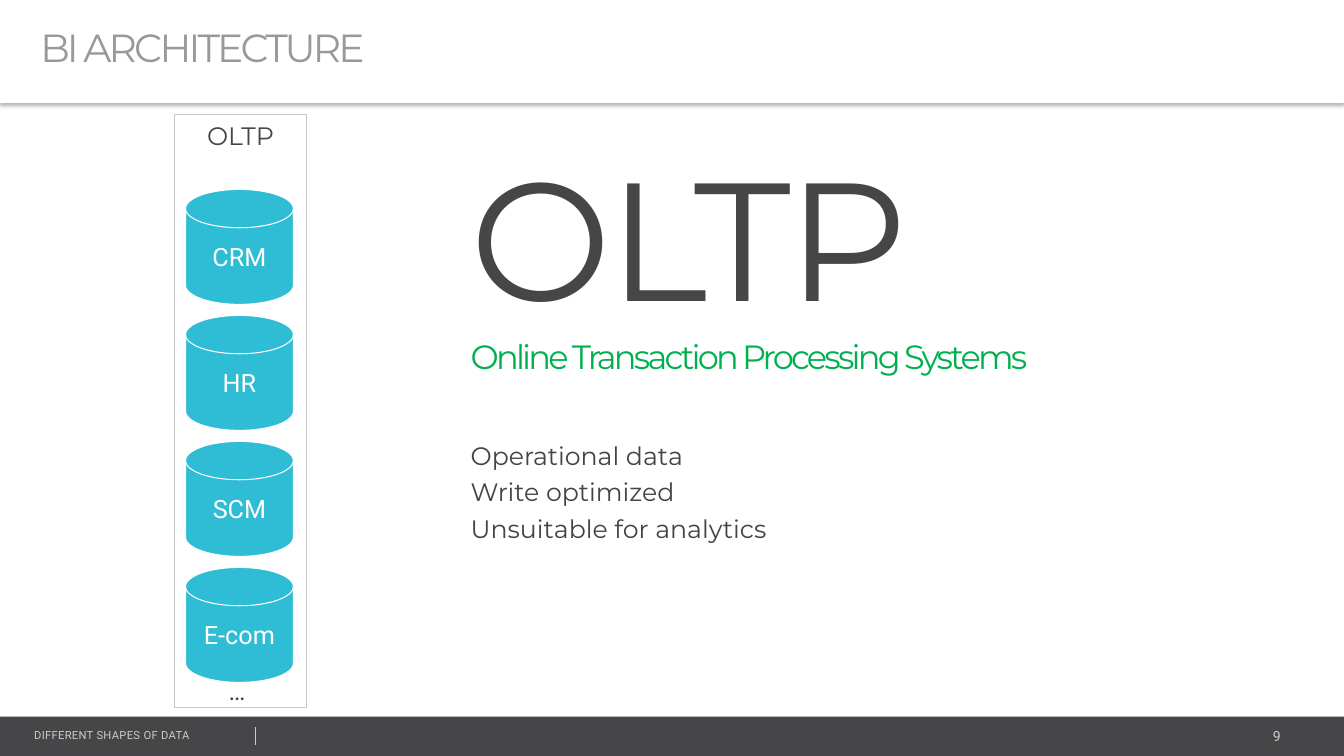
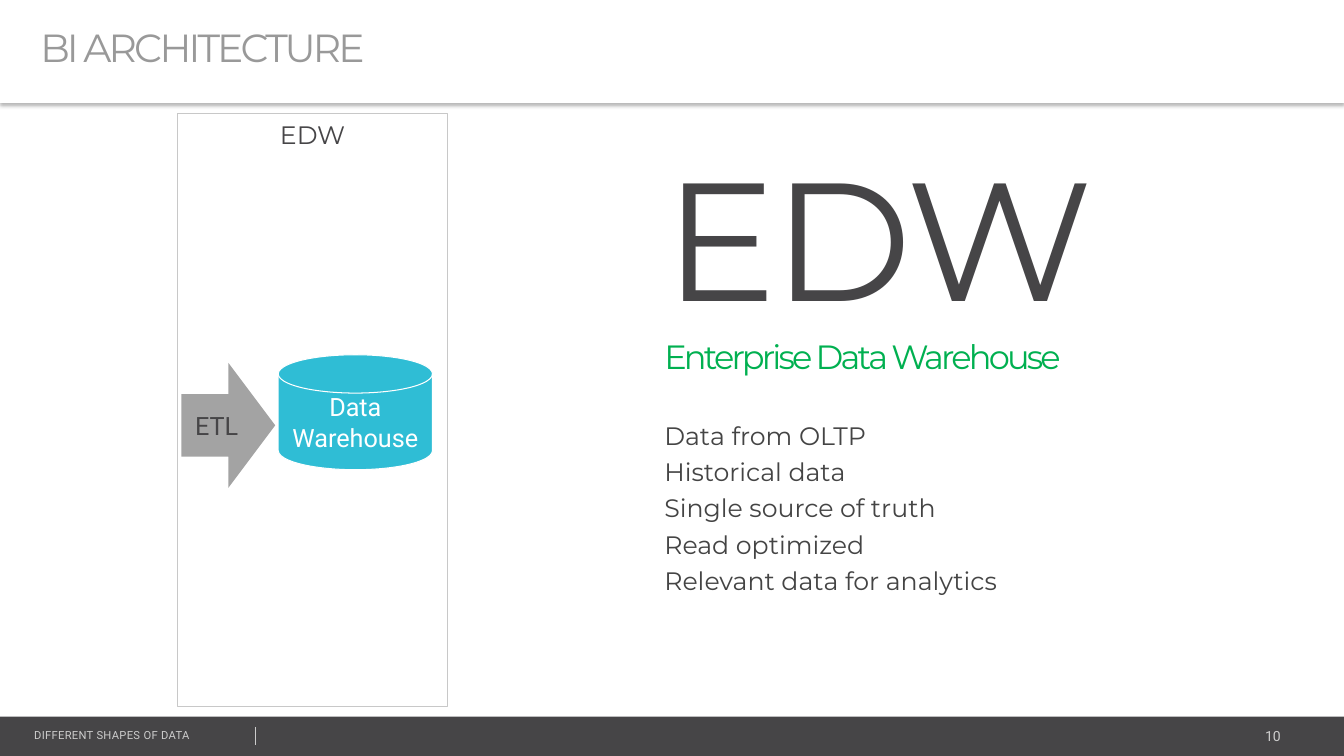
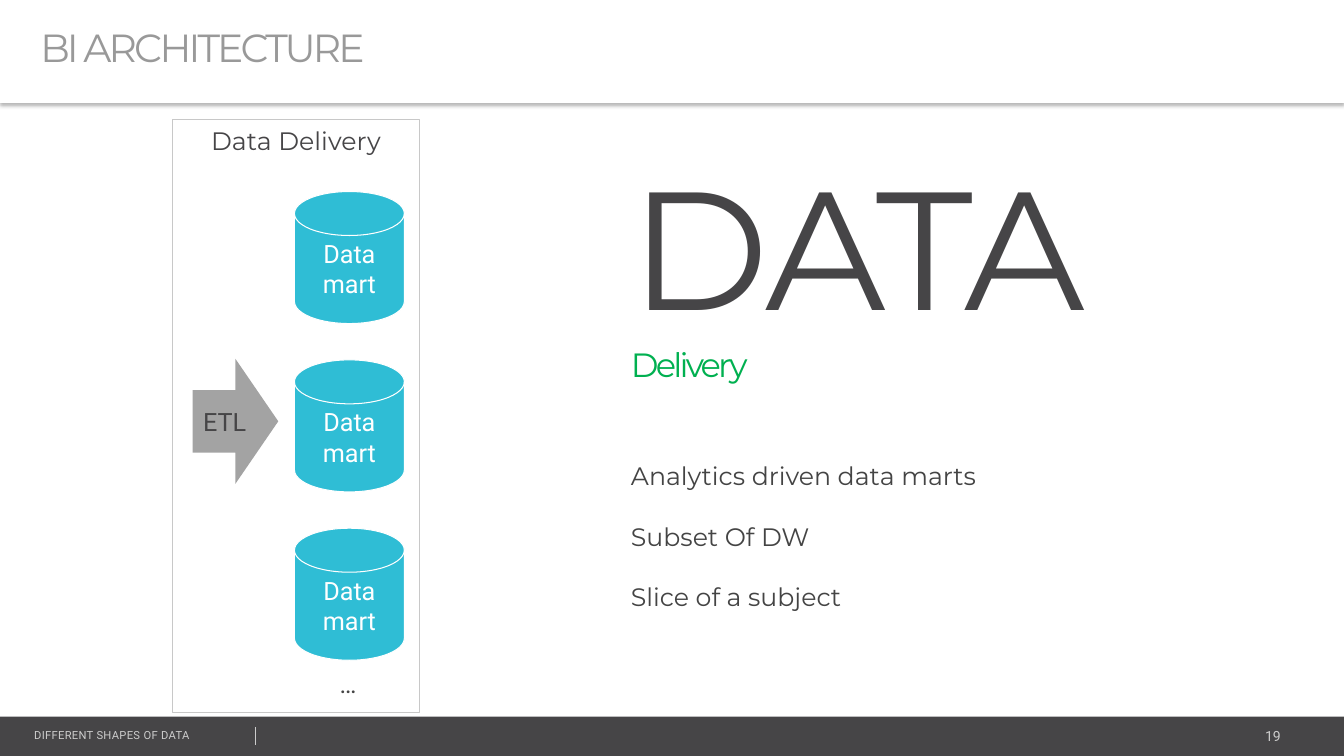
from lxml import etree
from pptx import Presentation
from pptx.dml.color import RGBColor
from pptx.enum.shapes import MSO_CONNECTOR, MSO_SHAPE
from pptx.enum.text import MSO_ANCHOR as Anchor, MSO_AUTO_SIZE as AutoSize, PP_ALIGN as Align
from pptx.oxml import parse_xml
from pptx.oxml.ns import nsdecls, qn
from pptx.util import Inches, Pt

WHITE, DARK, BODY = "FFFFFF", "464547", "444444"
TITLE_GREY, FOOTER_GREY, FRAME_GREY, ARROW_GREY = "999999", "CCCCCC", "C8C8C8", "A3A3A3"
CYAN, GREEN = "2FBDD5", "00B050"
HEAD_FONT, LABEL_FONT = "Montserrat", "Roboto"

WIDTH, HEIGHT = 13.33, 7.5
TITLE = "BI ARCHITECTURE"
FOOTER = "DIFFERENT SHAPES OF DATA"
FRAME_HEIGHT, ARROW_HEIGHT = 5.88, 1.24

# Places are left, top, width, height in inches; disks repeat downwards by "step".
SLIDES = [
    {
        "page": "9",
        "frame": ("OLTP", 1.73, 1.14, 1.31),
        "disks": {"labels": [["CRM"], ["HR"], ["SCM"], ["E-com"]],
                  "first": (1.84, 1.88, 1.07, 1.14), "step": 1.25},
        "more": (2.17, 6.59),
        "heading": ("OLTP", "Online Transaction Processing Systems"),
        "heading_at": (4.57, 1.28, 6.49, 2.52),
        "points": ["Operational data", "Write optimized", "Unsuitable for analytics"],
        "points_at": (4.57, 4.26, 3.5, 1.53),
    },
    {
        "page": "10",
        "frame": ("EDW", 1.76, 1.13, 2.68),
        "disks": {"labels": [["Data", "Warehouse"]],
                  "first": (2.76, 3.52, 1.53, 1.14), "step": 0},
        "etl": (1.8, 3.6, 0.93),
        "heading": ("EDW", "Enterprise Data Warehouse"),
        "heading_at": (6.49, 1.28, 4.53, 2.52),
        "points": ["Data from OLTP", "Historical data", "Single source of truth",
                   "Read optimized", "Relevant data for analytics"],
        "points_at": (6.49, 4.06, 3.92, 1.89),
    },
    {
        "page": "19",
        "frame": ("Data Delivery", 1.71, 1.19, 2.45),
        "disks": {"labels": [["Data mart"]] * 3,
                  "first": (2.92, 1.9, 1.09, 1.31), "step": 1.67},
        "more": (3.27, 6.52),
        "etl": (1.91, 3.56, 0.85),
        "heading": ("DATA", "Delivery"),
        "heading_at": (6.16, 1.36, 5.46, 2.52),
        "points": ["Analytics driven data marts", "Subset Of DW", "Slice of a subject"],
        "points_at": (6.16, 4.52, 6.67, 1.62),
        "points_spacing": 1.0,
        "points_gap": 21.5,
    },
]


def colour(hex_code):
    return RGBColor.from_string(hex_code)


def box(place):
    return [Inches(length) for length in place]


def write(frame, lines, size, font, ink, align=Align.LEFT, spacing=None, gap=0, tracking=0):
    """Fill a text frame, one paragraph a line; size and ink may be lists, one entry a line."""
    sizes = size if isinstance(size, list) else [size] * len(lines)
    inks = ink if isinstance(ink, list) else [ink] * len(lines)
    for index, (line, points, shade) in enumerate(zip(lines, sizes, inks)):
        paragraph = frame.paragraphs[0] if index == 0 else frame.add_paragraph()
        paragraph.alignment = align
        if spacing:
            paragraph.line_spacing = spacing
        if gap and index:
            paragraph.space_before = Pt(gap)
        run = paragraph.add_run()
        run.text = line
        run.font.size = Pt(points)
        run.font.name = font
        run.font.color.rgb = colour(shade)
        if tracking:
            run._r.get_or_add_rPr().set("spc", str(int(tracking * 100)))


def add_text(slide, place, lines, *style, wrap=False, **options):
    frame = slide.shapes.add_textbox(*box(place)).text_frame
    frame.word_wrap = wrap
    frame.auto_size = AutoSize.SHAPE_TO_FIT_TEXT
    write(frame, lines, *style, **options)


def add_block(slide, preset, place, fill=None, line=None, anchor=Anchor.MIDDLE):
    block = slide.shapes.add_shape(preset, *box(place))
    block.shadow.inherit = False
    if fill:
        block.fill.solid()
        block.fill.fore_color.rgb = colour(fill)
    else:
        block.fill.background()
    if line:
        block.line.color.rgb = colour(line)
        block.line.width = Pt(0.75)
    else:
        block.line.fill.background()
    block.text_frame.word_wrap = True
    block.text_frame.vertical_anchor = anchor
    return block


def add_footer(slide, page):
    add_block(slide, MSO_SHAPE.RECTANGLE, (0, 7.11, WIDTH, 0.4), DARK)
    add_text(slide, (10.62, 7.17, 2.18, 0.27), [page], 10, LABEL_FONT, FOOTER_GREY,
             wrap=True, align=Align.RIGHT)
    add_text(slide, (0.24, 7.18, 3.38, 0.24), [FOOTER], 8, LABEL_FONT, FOOTER_GREY,
             wrap=True, tracking=0.2)
    divider = slide.shapes.add_connector(MSO_CONNECTOR.STRAIGHT, *box((2.53, 7.21, 2.53, 7.39)))
    divider.line.color.rgb = colour(FOOTER_GREY)
    divider.line.width = Pt(0.25)
    etree.SubElement(divider._element.spPr, qn("a:effectLst"))


def add_title_band(slide):
    band = add_block(slide, MSO_SHAPE.RECTANGLE, (0, 0, WIDTH, 1.02), WHITE)
    band.text_frame.margin_left = Inches(0.4)
    write(band.text_frame, [TITLE], 28, HEAD_FONT, TITLE_GREY, spacing=0.8, tracking=-2)
    shadow = parse_xml(
        f'<a:outerShdw {nsdecls("a")} blurRad="{Pt(3.1)}" dist="{Pt(2)}" dir="5400000" '
        'algn="t" rotWithShape="0"><a:srgbClr val="000000"><a:alpha val="30000"/>'
        '</a:srgbClr></a:outerShdw>')
    band._element.spPr.find(qn("a:effectLst")).append(shadow)


def add_diagram(slide, content):
    disks = content["disks"]
    left, top, width, height = disks["first"]
    for row, label in enumerate(disks["labels"]):
        disk = add_block(slide, MSO_SHAPE.FLOWCHART_MAGNETIC_DISK,
                         (left, top + row * disks["step"], width, height), CYAN, WHITE)
        write(disk.text_frame, label, 18, LABEL_FONT, WHITE, Align.CENTER)
    if "more" in content:
        add_text(slide, (*content["more"], 0.39, 0.43), ["…"], 18, LABEL_FONT, BODY, spacing=1.2)
    if "etl" in content:
        arrow = add_block(slide, MSO_SHAPE.RIGHT_ARROW, (*content["etl"], ARROW_HEIGHT), ARROW_GREY)
        write(arrow.text_frame, ["ETL"], 18, LABEL_FONT, DARK, Align.CENTER)
    name, *place = content["frame"]
    frame = add_block(slide, MSO_SHAPE.RECTANGLE, (*place, FRAME_HEIGHT),
                      line=FRAME_GREY, anchor=Anchor.TOP)
    write(frame.text_frame, [name], 18, HEAD_FONT, DARK, Align.CENTER)


def add_explanation(slide, content):
    add_text(slide, content["heading_at"], content["heading"], [120, 24], HEAD_FONT,
             [DARK, GREEN], tracking=-2)
    add_text(slide, content["points_at"], content["points"], 18, HEAD_FONT, BODY,
             spacing=content.get("points_spacing", 1.2), gap=content.get("points_gap", 0))


def main():
    deck = Presentation()
    deck.slide_width, deck.slide_height = Inches(WIDTH), Inches(HEIGHT)
    for content in SLIDES:
        slide = deck.slides.add_slide(deck.slide_layouts[6])
        add_footer(slide, content["page"])
        add_title_band(slide)
        add_diagram(slide, content)
        add_explanation(slide, content)
    deck.save("out.pptx")


if __name__ == "__main__":
    main()
